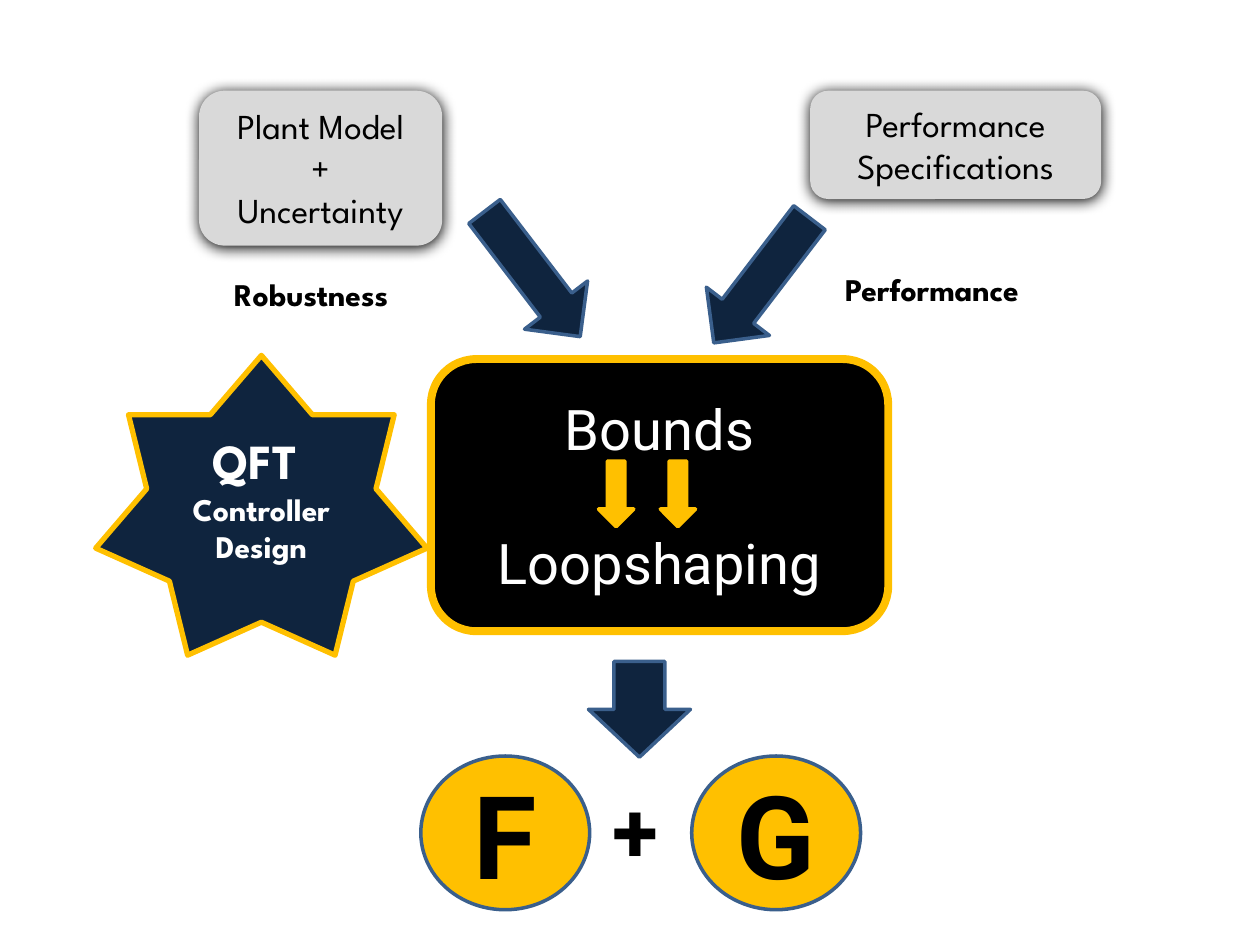
from dataclasses import dataclass
from typing import Optional

from lxml.etree import SubElement
from pptx import Presentation
from pptx.dml.color import RGBColor
from pptx.enum.shapes import MSO_SHAPE
from pptx.enum.text import MSO_ANCHOR, MSO_AUTO_SIZE, PP_ALIGN
from pptx.oxml.ns import qn
from pptx.util import Inches, Pt

WIDTH, HEIGHT = Inches(10), Inches(7.5)
COLUMNS, ROWS = 100, 75
NAVY, GOLD, BLUE = "0F243E", "FFC000", "3A5F8C"
GREY, BLACK, WHITE = "D9D9D9", "000000", "FFFFFF"
SPARTAN, ROBOTO = "League Spartan", "Roboto"


@dataclass
class Area:
    column: float
    row: float
    columns: float
    rows: float

    def lengths(self) -> tuple:
        across, down = WIDTH / COLUMNS, HEIGHT / ROWS
        return (round(self.column * across), round(self.row * down),
                round(self.columns * across), round(self.rows * down))


@dataclass
class Line:
    text: str
    size: float
    font: str = SPARTAN
    color: str = BLACK
    bold: bool = False
    before: float = 0


@dataclass
class Node:
    kind: MSO_SHAPE
    area: Area
    fill: str
    outline: Optional[str] = None
    weight: float = 2
    lines: tuple = ()
    rotation: float = 0
    card: bool = False


@dataclass
class Label:
    area: Area
    line: Line
    align: Optional[PP_ALIGN] = None


def rgb(color: str) -> RGBColor:
    return RGBColor.from_string(color)


def write(frame, lines: tuple, align: Optional[PP_ALIGN]) -> None:
    for index, line in enumerate(lines):
        para = frame.add_paragraph() if index else frame.paragraphs[0]
        para.text = line.text
        para.alignment = align
        if line.before:
            para.space_before = Pt(line.before)
        para.font.name = line.font
        para.font.size = Pt(line.size)
        para.font.bold = line.bold
        para.font.color.rgb = rgb(line.color)


def add_shadow(shape) -> None:
    effects = shape._element.spPr.find(qn("a:effectLst"))
    shadow = SubElement(effects, qn("a:outerShdw"), blurRad=str(Pt(8.5)),
                        dist=str(Pt(1)), dir=str(90 * 60000), rotWithShape="0")
    SubElement(shadow, qn("a:srgbClr"), val=BLACK)


def draw_node(page, node: Node) -> None:
    shape = page.shapes.add_shape(node.kind, *node.area.lengths())
    shape.shadow.inherit = False
    shape.rotation = node.rotation
    shape.fill.solid()
    shape.fill.fore_color.rgb = rgb(node.fill)
    if node.outline:
        shape.line.color.rgb = rgb(node.outline)
        shape.line.width = Pt(node.weight)
    else:
        shape.line.fill.background()
    frame = shape.text_frame
    frame.word_wrap = True
    frame.vertical_anchor = MSO_ANCHOR.MIDDLE
    if node.card:
        add_shadow(shape)
        frame.vertical_anchor = MSO_ANCHOR.TOP
        frame.auto_size = MSO_AUTO_SIZE.SHAPE_TO_FIT_TEXT
    write(frame, node.lines, PP_ALIGN.CENTER)


def draw_label(page, label: Label) -> None:
    box = page.shapes.add_textbox(*label.area.lengths())
    box.text_frame.word_wrap = False
    box.text_frame.auto_size = MSO_AUTO_SIZE.SHAPE_TO_FIT_TEXT
    write(box.text_frame, (label.line,), label.align)


def card(area: Area, *texts: str) -> Node:
    lines = tuple(Line(text, 20) for text in texts)
    return Node(MSO_SHAPE.ROUNDED_RECTANGLE, area, GREY, lines=lines, card=True)


def arrow(area: Area, fill: str = NAVY, outline: str = BLUE, rotation: float = 0) -> Node:
    return Node(MSO_SHAPE.DOWN_ARROW, area, fill, outline, rotation=rotation)


def result(column: float, letter: str) -> Node:
    return Node(MSO_SHAPE.OVAL, Area(column, 60, 13.4, 12.2), GOLD, BLUE,
                lines=(Line(letter, 66, ROBOTO, bold=True),))


NODES = [
    Node(MSO_SHAPE.STAR_7_POINT, Area(7.6, 28.2, 26.3, 23.8), NAVY, GOLD, 3,
         (Line("QFT ", 28, color=WHITE, bold=True),
          Line("Controller", 18, color=WHITE, bold=True),
          Line("Design", 18, color=WHITE, bold=True))),
    card(Area(15.8, 7.2, 19.3, 12.3), "Plant Model", "+", "Uncertainty"),
    card(Area(64.3, 7.2, 23.1, 8.6), "Performance", "Specifications"),
    arrow(Area(57.3, 16, 6.3, 12.5), rotation=37.4),
    arrow(Area(39.1, 15.5, 6.3, 12.5), rotation=-37.4),
    Node(MSO_SHAPE.FLOWCHART_ALTERNATE_PROCESS, Area(34.2, 28.5, 36.3, 21.6),
         BLACK, GOLD, 4.5,
         (Line("Bounds", 32, ROBOTO, WHITE),
          Line("Loopshaping", 32, ROBOTO, WHITE, before=38))),
    *(arrow(Area(column, 36.6, 2.8, 5.2), GOLD, GOLD) for column in (47.5, 52.4)),
    arrow(Area(46.7, 52.5, 8.1, 7.6)),
    result(33.4, "F"),
    result(54.9, "G"),
]

LABELS = [
    Label(Area(66.1, 20.9, 17.9, 4), Line("Performance", 18, bold=True)),
    Label(Area(17.6, 21.3, 16.4, 4), Line("Robustness", 18, bold=True)),
    Label(Area(47.4, 61.3, 6.1, 9.1), Line("+", 48, ROBOTO, bold=True), PP_ALIGN.CENTER),
]


def main() -> None:
    deck = Presentation()
    deck.slide_width, deck.slide_height = WIDTH, HEIGHT
    page = deck.slides.add_slide(deck.slide_layouts[6])
    for node in NODES:
        draw_node(page, node)
    for label in LABELS:
        draw_label(page, label)
    deck.save("out.pptx")


if __name__ == "__main__":
    main()
